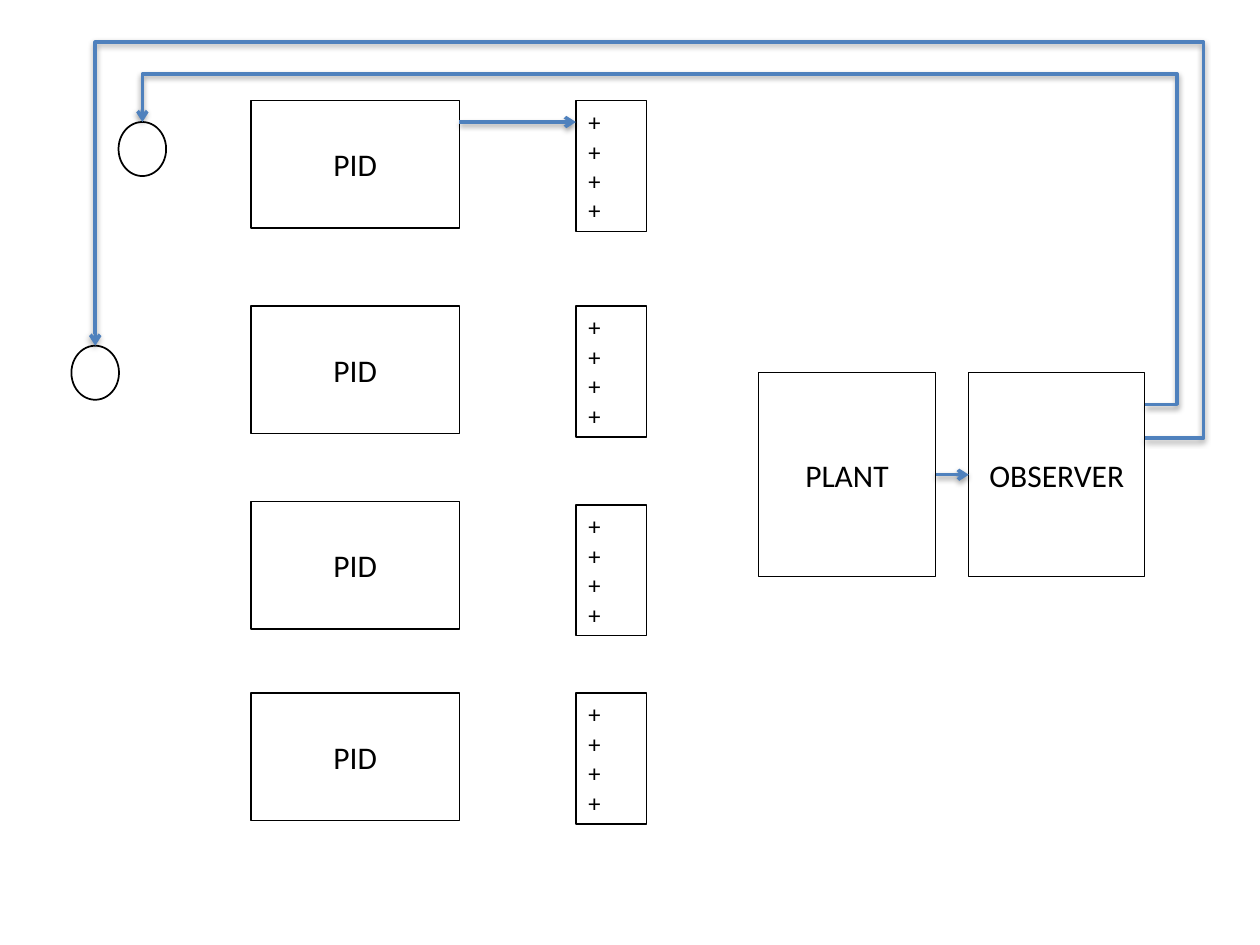
from lxml.etree import SubElement
from pptx import Presentation
from pptx.dml.color import RGBColor
from pptx.enum.shapes import MSO_CONNECTOR, MSO_SHAPE
from pptx.enum.text import MSO_ANCHOR, PP_ALIGN
from pptx.oxml.ns import qn
from pptx.util import Cm, Pt

BLACK, WHITE, BLUE = "000000", "FFFFFF", "4F81BD"


def color(value):
    return RGBColor.from_string(value)


def add_outline(slide, kind, box, width, fill=None):
    shape = slide.shapes.add_shape(kind, *[Cm(length) for length in box])
    shape.shadow.inherit = False
    if fill:
        shape.fill.solid()
        shape.fill.fore_color.rgb = color(fill)
    else:
        shape.fill.background()
    shape.line.color.rgb = color(BLACK)
    shape.line.width = Pt(width)
    return shape


def add_block(slide, box, lines, size=18, alignment=PP_ALIGN.CENTER, top_margin=0.13):
    shape = add_outline(slide, MSO_SHAPE.RECTANGLE, box, 0.75)
    frame = shape.text_frame
    frame.word_wrap = True
    frame.vertical_anchor = MSO_ANCHOR.TOP
    frame.margin_top = Cm(top_margin)
    for index, line in enumerate(lines):
        paragraph = frame.add_paragraph() if index else frame.paragraphs[0]
        paragraph.alignment = alignment
        run = paragraph.add_run()
        run.text = line
        run.font.name = "Calibri"
        run.font.size = Pt(size)
        run.font.color.rgb = color(BLACK)


def add_junction(slide, left, top):
    add_outline(slide, MSO_SHAPE.OVAL, (left, top, 0.96, 1.09), 1, WHITE)


def add_arrow(slide, start, end, kind=MSO_CONNECTOR.STRAIGHT):
    connector = slide.shapes.add_connector(kind, *[Cm(length) for length in start + end])
    connector.line.color.rgb = color(BLUE)
    connector.line.width = Pt(2)
    properties = connector._element.spPr
    SubElement(properties.find(qn("a:ln")), qn("a:tailEnd"), type="arrow")
    effects = SubElement(properties, qn("a:effectLst"))
    shadow = SubElement(effects, qn("a:outerShdw"), blurRad="40000", dist="20000",
                        dir="5400000", rotWithShape="0")
    shade = SubElement(shadow, qn("a:srgbClr"), val=BLACK)
    SubElement(shade, qn("a:alpha"), val="38000")
    return connector


def add_feedback(slide, start, end, turn_x, turn_y):
    connector = add_arrow(slide, start, end, MSO_CONNECTOR.ELBOW)
    properties = connector._element.spPr
    transform = properties.find(qn("a:xfrm"))
    for flip in ("flipH", "flipV"):
        transform.attrib.pop(flip, None)
    transform.set("rot", "10800000")
    geometry = properties.find(qn("a:prstGeom"))
    geometry.set("prst", "bentConnector4")
    guides = geometry.find(qn("a:avLst"))
    ratios = ((start[0] - turn_x) / (start[0] - end[0]),
              (start[1] - turn_y) / (start[1] - end[1]))
    for number, ratio in enumerate(ratios, 1):
        SubElement(guides, qn("a:gd"), name=f"adj{number}", fmla=f"val {round(ratio * 100000)}")


def add_controllers(slide, left, tops):
    for top in tops:
        add_block(slide, (left, top, 4.2, 2.57), ["PID"], top_margin=0.9)


def add_summers(slide, left, tops):
    for top in tops:
        add_block(slide, (left, top, 1.43, 2.64), ["+"] * 4, 14, PP_ALIGN.LEFT)


def add_process(slide, left, top, width, height):
    block_width, gap = 3.57, 0.67
    for label, offset, size in (("PLANT", 0, block_width),
                                ("OBSERVER", block_width + gap, width - block_width - gap)):
        add_block(slide, (left + offset, top, size, height), [label], top_margin=1.68)
    middle = top + height / 2
    add_arrow(slide, (left + block_width, middle), (left + block_width + gap, middle))


presentation = Presentation()
presentation.slide_width, presentation.slide_height = Cm(25.4), Cm(19.05)
slide = presentation.slides.add_slide(presentation.slide_layouts[6])

add_controllers(slide, 5.06, (2.03, 6.17, 10.11, 13.97))
add_summers(slide, 11.61, (2.03, 6.17, 10.18, 13.97))
add_process(slide, 15.29, 7.51, 7.79, 4.12)
add_junction(slide, 1.44, 6.97)
add_junction(slide, 2.39, 2.46)
add_feedback(slide, (23.08, 8.83), (1.92, 6.97), 24.27, 0.85)
add_feedback(slide, (23.08, 8.15), (2.87, 2.46), 23.73, 1.49)
add_arrow(slide, (9.26, 2.46), (11.61, 2.46))

presentation.save("out.pptx")
